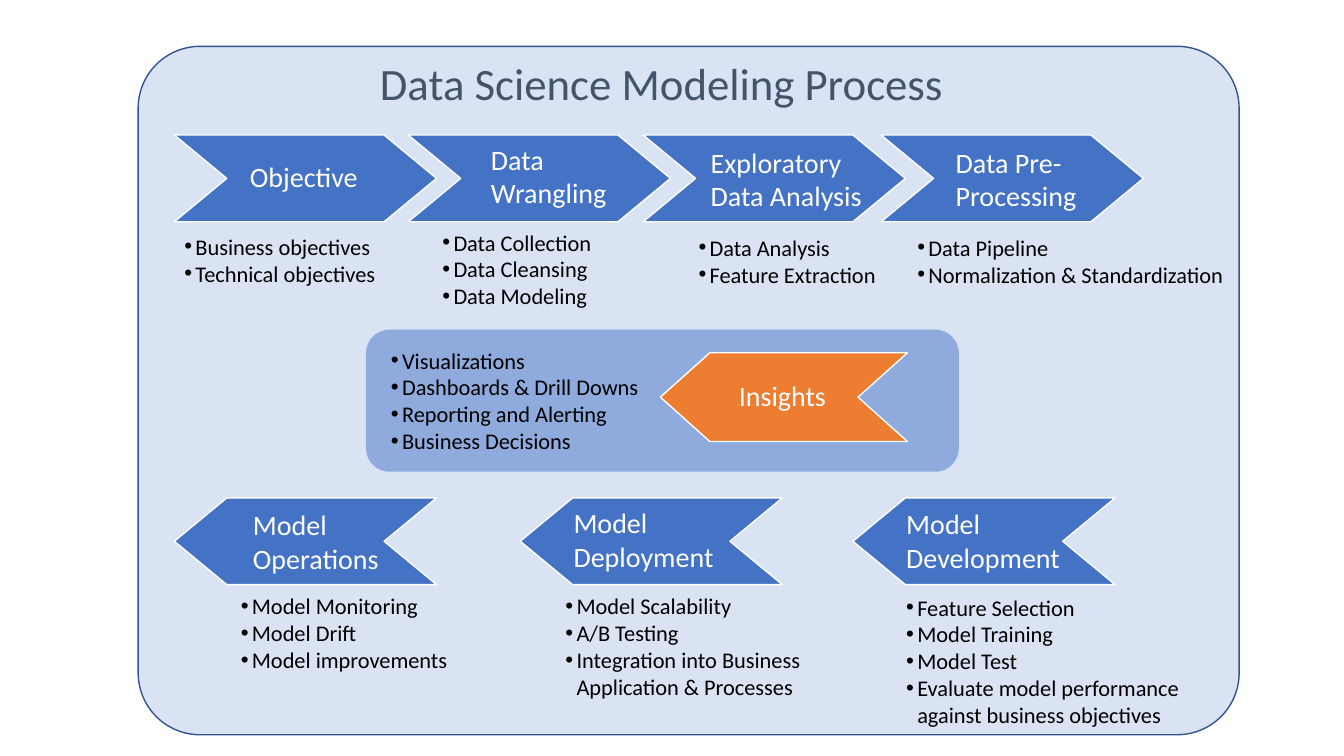
import pptx
import pptx.util
import pptx.dml.color
import pptx.enum.shapes
import pptx.enum.text
import pptx.oxml.ns
from lxml import etree

Inches = pptx.util.Inches
Pt = pptx.util.Pt

COLORS = {
    "frame": "DAE3F3", "frame_line": "325491", "panel": "8FAADC",
    "step": "4472C4", "insight": "ED7D31", "white": "FFFFFF",
    "title": "44546A", "body": "000000",
}
FONT = "Calibri"
ARROW_W, ARROW_H = 2.6, 0.86
HANG = 0.11

# Each step: arrow left, label (left, top, width, text, wraps),
# bullets (left, top, width, wraps, items)
PREPARATION = [
    (1.73, (2.38, 1.53, 1.28, "Objective", False),
     (1.73, 2.26, 2.12, False, ["Business objectives", "Technical objectives"])),
    (4.05, (4.77, 1.36, 1.78, "Data Wrangling", True),
     (4.29, 2.22, 1.7, False, ["Data Collection", "Data Cleansing", "Data Modeling"])),
    (6.38, (6.95, 1.39, 1.78, "Exploratory Data Analysis", True),
     (6.83, 2.27, 1.99, False, ["Data Analysis", "Feature Extraction"])),
    (8.74, (9.38, 1.39, 1.78, "Data Pre-Processing", True),
     (9, 2.27, 3.28, False, ["Data Pipeline", "Normalization & Standardization"])),
]
MODELING = [
    (1.73, (2.41, 4.99, 1.55, "Model Operations", True),
     (2.29, 5.83, 2.28, False, ["Model Monitoring", "Model Drift", "Model improvements"])),
    (5.16, (5.59, 4.97, 2.04, "Model Deployment", True),
     (5.51, 5.83, 2.95, True, ["Model Scalability", "A/B Testing",
                               "Integration into Business Application & Processes"])),
    (8.46, (8.89, 4.98, 2.04, "Model Development", True),
     (8.89, 5.84, 2.94, False, ["Feature Selection", "Model Training", "Model Test",
                                "Evaluate model performance\nagainst business objectives"])),
]
INSIGHTS = ["Visualizations", "Dashboards & Drill Downs",
            "Reporting and Alerting", "Business Decisions"]


def rgb(name):
    return pptx.dml.color.RGBColor.from_string(COLORS[name])


def paint(shape, fill, line=None):
    shape.shadow.inherit = False
    shape.fill.solid()
    shape.fill.fore_color.rgb = rgb(fill)
    if line:
        shape.line.color.rgb = rgb(line)
        shape.line.width = Pt(1)
    else:
        shape.line.fill.background()


def add_panel(page, left, top, width, height, fill, line=None, corner=None):
    panel = page.shapes.add_shape(
        pptx.enum.shapes.MSO_SHAPE.ROUNDED_RECTANGLE,
        Inches(left), Inches(top), Inches(width), Inches(height))
    if corner:
        panel.adjustments[0] = corner
    paint(panel, fill, line)


def add_arrow(page, left, top, width, height, fill, reverse=False):
    """Notched arrow whose tip and notch take a fifth of the width."""
    outline = [(0, 0), (0.8, 0), (1, 0.5), (0.8, 1), (0, 1), (0.2, 0.5)]
    points = [(Inches(left + width * (1 - x if reverse else x)),
               Inches(top + height * y)) for x, y in outline]
    builder = page.shapes.build_freeform(*points[0])
    builder.add_line_segments(points[1:], close=True)
    paint(builder.convert_to_shape(), fill, "white")


def add_span(para, text, size, color):
    span = para.add_run()
    span.text = text
    span.font.name = FONT
    span.font.size = Pt(size)
    span.font.color.rgb = rgb(color)


def add_bullet(para):
    props = para._p.get_or_add_pPr()
    props.set("marL", str(Inches(HANG)))
    props.set("indent", str(-Inches(HANG)))
    for tag, name, value in (("a:buFont", "typeface", "Arial"), ("a:buChar", "char", "•")):
        etree.SubElement(props, pptx.oxml.ns.qn(tag)).set(name, value)


def add_text(page, left, top, width, lines, size, color,
             wrap=True, bullets=False, centered=False):
    height = 0.1 + len(lines) * size / 60
    box = page.shapes.add_textbox(Inches(left), Inches(top), Inches(width), Inches(height))
    frame = box.text_frame
    frame.word_wrap = wrap
    frame.auto_size = pptx.enum.text.MSO_AUTO_SIZE.SHAPE_TO_FIT_TEXT
    for index, line in enumerate(lines):
        para = frame.paragraphs[0] if index == 0 else frame.add_paragraph()
        if bullets:
            add_bullet(para)
        if centered:
            para.alignment = pptx.enum.text.PP_ALIGN.CENTER
        for part_index, part in enumerate(line.split("\n")):
            if part_index:
                para.add_line_break()
            add_span(para, part, size, color)


def add_steps(page, top, steps, reverse=False):
    for arrow_left, label, bullets in steps:
        add_arrow(page, arrow_left, top, ARROW_W, ARROW_H, "step", reverse)
        left, label_top, width, text, wrap = label
        add_text(page, left, label_top, width, [text], 20, "white", wrap)
        left, list_top, width, wrap, items = bullets
        add_text(page, left, list_top, width, items, 16, "body", wrap, bullets=True)


def add_insights(page, left, top, width, height):
    add_panel(page, left, top, width, height, "panel")
    add_arrow(page, left + 2.92, top + 0.23, 2.45, 0.88, "insight", reverse=True)
    add_text(page, left + 3.32, top + 0.44, 1.62, ["Insights"], 20, "white", centered=True)
    add_text(page, left + 0.15, top + 0.12, 3.3, INSIGHTS, 16, "body", bullets=True)


def main():
    deck = pptx.Presentation()
    deck.slide_width, deck.slide_height = Inches(13.33), Inches(7.5)
    page = deck.slides.add_slide(deck.slide_layouts[6])

    # Frame and title
    add_panel(page, 1.37, 0.46, 10.92, 6.83, "frame", "frame_line", 0.09)
    add_text(page, 3.67, 0.5, 5.84, ["Data Science Modeling Process"], 32, "title", wrap=False)

    # Process from data to insights to models
    add_steps(page, 1.34, PREPARATION)
    add_insights(page, 3.63, 3.27, 5.88, 1.41)
    add_steps(page, 4.94, MODELING, reverse=True)

    deck.save("out.pptx")


if __name__ == "__main__":
    main()
